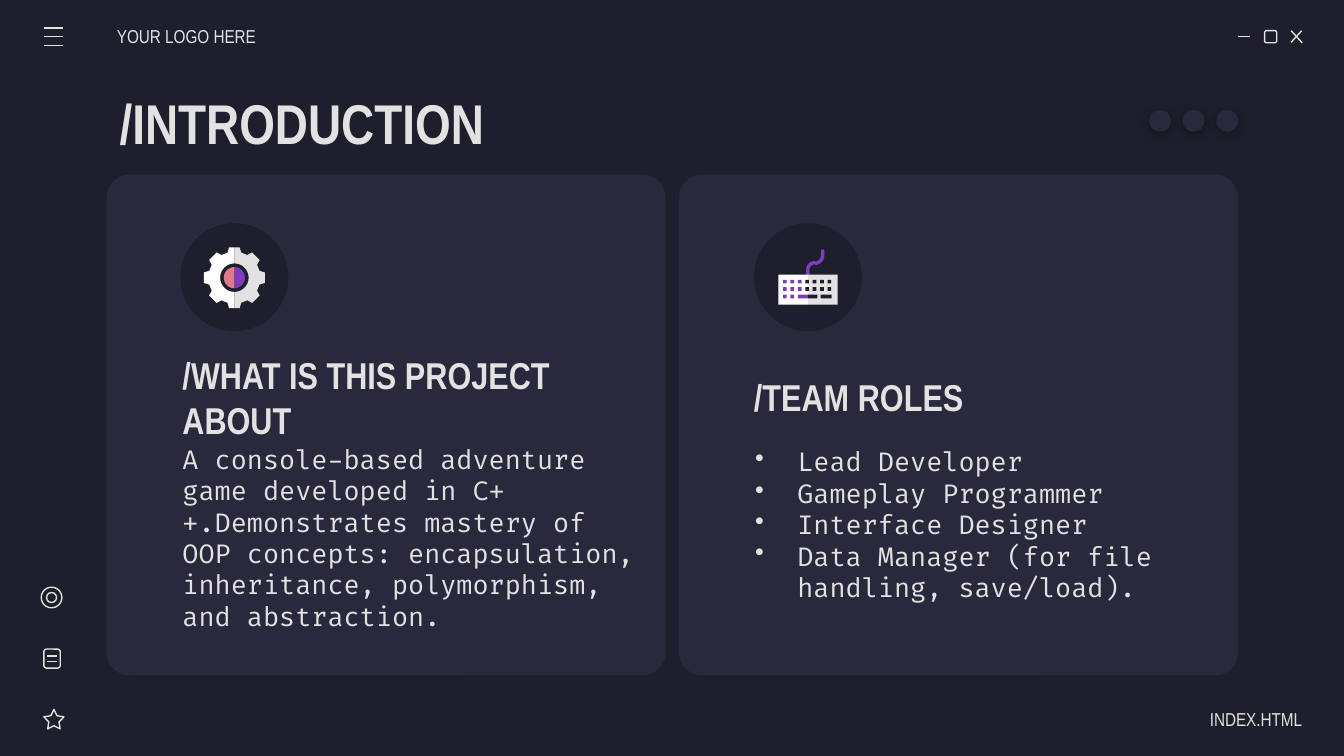
"""Build the introduction slide with two cards, their icons and the window frame."""
from dataclasses import dataclass
from math import cos, radians, sin

from lxml.etree import SubElement
from pptx import Presentation
from pptx.dml.color import RGBColor
from pptx.enum.shapes import MSO_CONNECTOR as Connector, MSO_SHAPE as Shape
from pptx.enum.text import MSO_ANCHOR as Anchor, MSO_AUTO_SIZE as AutoSize, PP_ALIGN as Align
from pptx.oxml.ns import qn
from pptx.util import Cm, Pt

COLORS = {
    "page": "1E1E2C", "card": "29283D", "light": "E2E2E2", "white": "FFFFFF",
    "purple": "7E3BBE", "pink": "E07A88", "shadow": "000000",
}
STYLES = {
    "title": {"size": Pt(30), "name": "Arial Narrow", "bold": True},
    "heading": {"size": Pt(20), "name": "Arial Narrow", "bold": True},
    "body": {"size": Pt(14), "name": "Fira Code", "bold": False},
    "label": {"size": Pt(10), "name": "Arial Narrow", "bold": False},
}
INSET = 0.25
Point = tuple[float, float]


@dataclass
class Figure:
    """A preset shape with its place in centimetres."""
    kind: Shape
    left: float
    top: float
    width: float
    height: float
    fill: str = ""
    corner: float | None = None


@dataclass
class Label:
    """A text box with its paragraphs and style."""
    left: float
    top: float
    width: float
    height: float
    lines: tuple[str, ...]
    style: str
    align: Align = Align.LEFT
    left_inset: float = INSET
    right_inset: float = INSET
    bullets: bool = False


CARDS = [Figure(Shape.ROUNDED_RECTANGLE, x, 3.3, 10.57, 9.47, "card", 0.047) for x in (2.01, 12.83)]
DISCS = [Figure(Shape.OVAL, x, 4.22, 2.04, 2.04, "page") for x in (3.41, 14.25)]
DOTS = [Figure(Shape.OVAL, 21.72 + 0.635 * i, 2.08, 0.41, 0.41, "card") for i in range(3)]
OUTLINES = [
    Figure(Shape.ROUNDED_RECTANGLE, 23.9, 0.58, 0.23, 0.23),
    Figure(Shape.STAR_5_POINT, 0.83, 13.41, 0.38, 0.37, corner=0.254),
    Figure(Shape.ROUNDED_RECTANGLE, 0.83, 12.27, 0.31, 0.36),
    Figure(Shape.OVAL, 0.78, 11.1, 0.39, 0.39),
    Figure(Shape.OVAL, 0.88, 11.2, 0.19, 0.19),
]
LINES = [
    *[(0.83, y, 1.2, y) for y in (0.53, 0.69, 0.86)],
    *[(0.89, y, 1.07, y) for y in (12.4, 12.5)],
    (23.39, 0.69, 23.62, 0.69),
    (24.4, 0.58, 24.61, 0.81),
    (24.6, 0.58, 24.4, 0.8),
]
LABELS = [
    Label(2.01, 1.5, 21.41, 1.6, ("/INTRODUCTION",), "title"),
    Label(3.2, 6.86, 8.18, 1.3, ("/WHAT IS THIS PROJECT ABOUT",), "heading"),
    Label(3.2, 8.38, 9.09, 3.56, (
        "A console-based adventure game developed in C++.Demonstrates mastery of OOP "
        "concepts: encapsulation, inheritance, polymorphism, and abstraction.",), "body"),
    Label(14.25, 7.11, 8.18, 0.76, ("/TEAM ROLES",), "heading", left_inset=0),
    Label(14.02, 8.13, 8.18, 3.56, (
        "Lead Developer", "Gameplay Programmer", "Interface Designer",
        "Data Manager (for file handling, save/load)."), "body", bullets=True),
    Label(2.21, 0.3, 2.97, 0.76, ("YOUR LOGO HERE",), "label", left_inset=0),
    Label(21.64, 13.21, 2.97, 0.76, ("INDEX.HTML",), "label", Align.RIGHT, right_inset=0),
]


def rgb(name: str) -> RGBColor:
    """Look up a named colour."""
    return RGBColor.from_string(COLORS[name])


def paint(shape, fill: str) -> None:
    """Fill a shape, or outline it when no fill is named."""
    shape.shadow.inherit = False
    if fill:
        shape.fill.solid()
        shape.fill.fore_color.rgb = rgb(fill)
        shape.line.fill.background()
    else:
        shape.fill.background()
        shape.line.color.rgb = rgb("light")
        shape.line.width = Pt(0.75)


def draw_figure(page, figure: Figure):
    """Draw a preset shape."""
    place = map(Cm, (figure.left, figure.top, figure.width, figure.height))
    shape = page.shapes.add_shape(figure.kind, *place)
    if figure.corner is not None:
        shape.adjustments[0] = figure.corner
    paint(shape, figure.fill)
    return shape


def draw_line(page, ends: tuple[float, float, float, float]) -> None:
    """Draw a thin light line."""
    line = page.shapes.add_connector(Connector.STRAIGHT, *map(Cm, ends))
    line.line.color.rgb = rgb("light")
    line.line.width = Pt(0.75)
    SubElement(line._element.spPr, qn("a:effectLst"))


def draw_outline(page, points: list[Point], fill: str) -> None:
    """Draw a filled closed outline."""
    corners = [(Cm(x), Cm(y)) for x, y in points]
    builder = page.shapes.build_freeform(*corners[0])
    builder.add_line_segments(corners[1:], close=True)
    paint(builder.convert_to_shape(), fill)


def add_shadow(shape) -> None:
    """Give a shape a soft shadow below it."""
    effects = shape._element.spPr.find(qn("a:effectLst"))
    shadow = SubElement(effects, qn("a:outerShdw"), blurRad=str(Pt(4.5)),
                        dist=str(Pt(1.5)), dir="5400000", algn="bl", rotWithShape="0")
    color = SubElement(shadow, qn("a:srgbClr"), val=COLORS["shadow"])
    SubElement(color, qn("a:alpha"), val="30000")


def add_bullet(para) -> None:
    """Give a paragraph a hanging round bullet."""
    props = para._p.get_or_add_pPr()
    props.set("marL", str(Cm(0.8)))
    props.set("indent", str(Cm(-0.8)))
    SubElement(SubElement(props, qn("a:buClr")), qn("a:srgbClr"), val=COLORS["light"])
    SubElement(props, qn("a:buChar"), char="•")


def draw_label(page, label: Label) -> None:
    """Draw a text box."""
    box = page.shapes.add_textbox(*map(Cm, (label.left, label.top, label.width, label.height)))
    frame = box.text_frame
    settings = {
        "word_wrap": True, "auto_size": AutoSize.NONE, "vertical_anchor": Anchor.MIDDLE,
        "margin_left": Cm(label.left_inset), "margin_right": Cm(label.right_inset),
        "margin_top": Cm(INSET), "margin_bottom": Cm(INSET),
    }
    for key, value in settings.items():
        setattr(frame, key, value)
    for index, line in enumerate(label.lines):
        para = frame.add_paragraph() if index else frame.paragraphs[0]
        para.alignment = label.align
        if label.bullets:
            add_bullet(para)
        span = para.add_run()
        span.text = line
        for key, value in STYLES[label.style].items():
            setattr(span.font, key, value)
        span.font.color.rgb = rgb("light")


def arc(x: float, y: float, radius: float, start: float, end: float) -> list[Point]:
    """List points along an arc, with degrees running clockwise from the right."""
    angles = [radians(start + (end - start) * step / 16) for step in range(17)]
    return [(x + radius * cos(angle), y + radius * sin(angle)) for angle in angles]


def draw_gear(page, x: float, y: float) -> None:
    """Draw a gear of eight teeth in two halves with a two-coloured hub."""
    tooth = [(-0.13, 0.475), (-0.1, 0.575), (0.1, 0.575), (0.13, 0.475)]
    rim = [(across * cos(turn) + out * sin(turn), across * sin(turn) - out * cos(turn))
           for turn in map(radians, range(0, 181, 45)) for across, out in tooth]
    half = [(0, -0.575), *rim[2:-2], (0, 0.575), *arc(0, 0, 0.27, 90, -90)]
    hub = arc(0, 0, 0.2, -90, 90)
    for points, side, fill in ((hub, 1, "purple"), (hub, -1, "pink"),
                               (half, 1, "light"), (half, -1, "white")):
        draw_outline(page, [(x + side * across, y + down) for across, down in points], fill)


def draw_keyboard(page) -> None:
    """Draw a keyboard with its cord and three rows of keys."""
    cord = [(15.52, 4.72), *arc(15.4, 4.83, 0.115, 0, 90), *arc(15.4, 5.1, 0.165, 270, 180),
            (15.23, 5.26), (15.3, 5.26), *arc(15.4, 5.1, 0.1, 180, 270),
            *arc(15.4, 4.83, 0.18, 90, 0), (15.58, 4.72)]
    draw_outline(page, cord, "purple")
    left, top, step, size = 14.8, 5.29, 0.14, 0.07
    parts = [(14.71, 5.19, 0.56, 0.57, "white"), (15.27, 5.19, 0.56, 0.57, "light")]
    parts += [(left + step * column, top + step * row, size, size,
               "purple" if column < 3 else "page")
              for row, count in enumerate((7, 7, 2)) for column in range(count)]
    parts += [(x, top + 2 * step, width, size, fill) for x, width, fill in (
        (15.08, 0.19, "purple"), (15.27, 0.18, "page"), (15.51, 0.21, "page"))]
    for part in parts:
        draw_figure(page, Figure(Shape.RECTANGLE, *part))


def main() -> None:
    """Build and save the deck."""
    deck = Presentation()
    deck.slide_width, deck.slide_height = Cm(25.4), Cm(14.29)
    page = deck.slides.add_slide(deck.slide_layouts[6])
    page.background.fill.solid()
    page.background.fill.fore_color.rgb = rgb("page")
    for figure in CARDS + DISCS + OUTLINES:
        draw_figure(page, figure)
    for ends in LINES:
        draw_line(page, ends)
    for label in LABELS:
        draw_label(page, label)
    draw_gear(page, 4.43, 5.25)
    draw_keyboard(page)
    for dot in DOTS:
        add_shadow(draw_figure(page, dot))
    deck.save("out.pptx")


if __name__ == "__main__":
    main()
